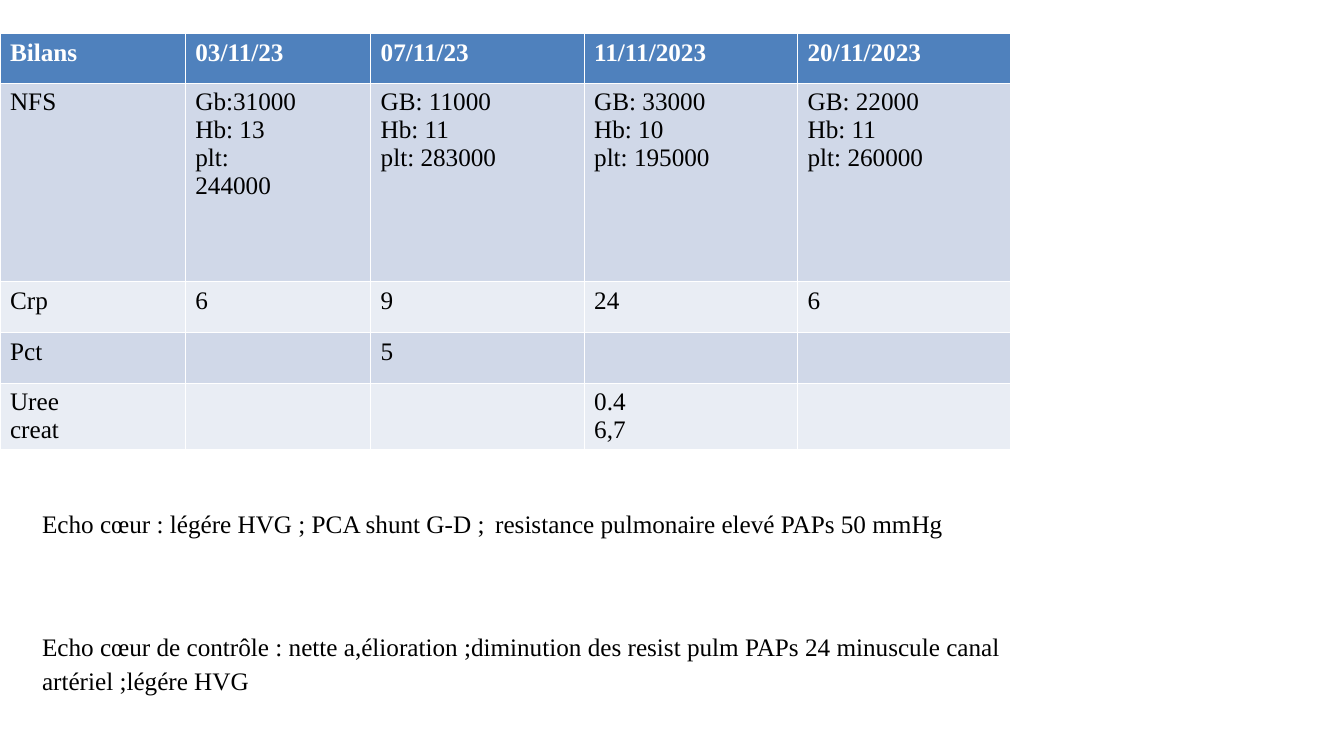
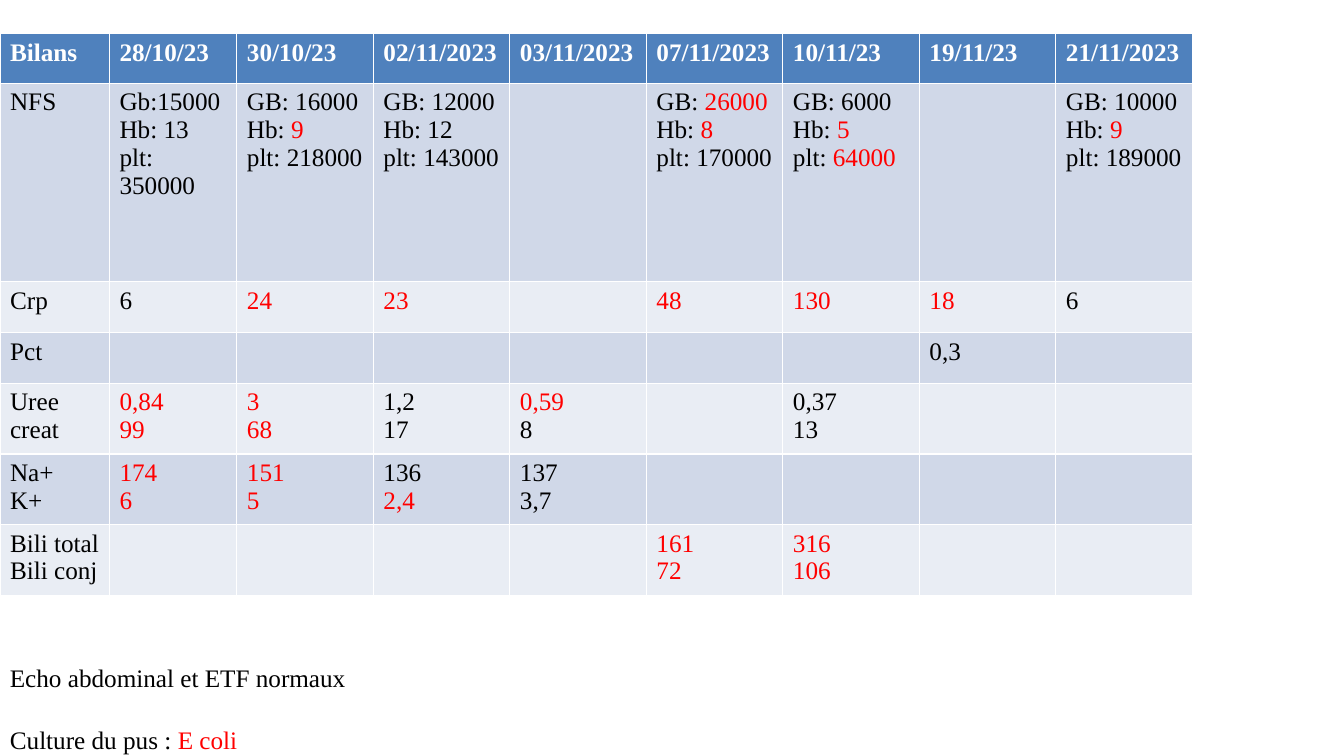
"""Build two slides of laboratory results with their imaging notes."""
from dataclasses import dataclass

from pptx import Presentation, util as u
from pptx.dml.color import RGBColor as Rgb
from pptx.oxml.xmlchemy import OxmlElement as Node


@dataclass(frozen=True)
class Theme:
    """Colours, type and row measures that the slides share."""
    font: str = "Times New Roman"
    size: int = 18
    ink: str = "000000"
    alert: str = "FF0000"
    head: str = "4F81BD"
    title: str = "FFFFFF"
    bands: tuple = ("D0D8E8", "E9EDF4")
    top: float = 0.85
    rows: tuple = (1.25, 5.0, 1.28, 1.28)
    pair: float = 1.67


LOOK = Theme()

FIRST = [
    ["Bilans", "03/11/23", "07/11/23", "11/11/2023", "20/11/2023"],
    ["NFS", "Gb:31000\nHb: 13\nplt:\n244000", "GB: 11000\nHb: 11\nplt: 283000",
     "GB: 33000\nHb: 10\nplt: 195000", "GB: 22000\nHb: 11\nplt: 260000"],
    ["Crp", "6", "9", "24", "6"],
    ["Pct", "", "5", "", ""],
    ["Uree\ncreat", "", "", "0.4\n6,7", ""],
]

SECOND = [
    ["Bilans", "28/10/23", "30/10/23", "02/11/2023", "03/11/2023",
     "07/11/2023", "10/11/23", "19/11/23", "21/11/2023"],
    ["NFS", "Gb:15000\nHb: 13\nplt:\n350000", "GB: 16000\nHb: *9*\nplt: 218000",
     "GB: 12000\nHb: 12\nplt: 143000", "", "GB: *26000*\nHb: *8*\nplt: 170000",
     "GB: 6000\nHb: *5*\nplt: *64000*", "", "GB: 10000\nHb: *9*\nplt: 189000"],
    ["Crp", "6", "*24*", "*23*", "", "*48*", "*130*", "*18*", "6"],
    ["Pct", "", "", "", "", "", "", "0,3", ""],
    ["Uree\ncreat", "*0,84*\n*99*", "*3*\n*68*", "1,2\n17", "*0,59*\n8", "",
     "0,37\n13", "", ""],
    ["Na+\nK+", "*174*\n*6*", "*151*\n*5*", "136\n*2,4*", "137\n3,7",
     "", "", "", ""],
    ["Bili total\nBili conj", "", "", "", "", "*161*\n*72*", "*316*\n*106*",
     "", ""],
]

HEART = ("Echo cœur : légére HVG ; PCA shunt G-D ;\tresistance pulmonaire "
         "elevé PAPs 50 mmHg\n"
         "Echo cœur de contrôle : nette a,élioration ;diminution des resist "
         "pulm PAPs 24 minuscule canal artériel ;légére HVG")
BELLY = "Echo abdominal et ETF normaux\nCulture du pus : *E coli*"


def write(frame, words, color=LOOK.ink, bold=False, gap=0, pitch=None, tab=None):
    """Write one paragraph per line, with starred words in the alert colour."""
    for num, line in enumerate(words.split("\n")):
        para = frame.add_paragraph() if num else frame.paragraphs[0]
        para.font.size = u.Pt(LOOK.size)
        if pitch:
            para.line_spacing = pitch
        if num and gap:
            para.space_before = u.Pt(gap)
        if tab and "\t" in line:
            stops, stop = Node("a:tabLst"), Node("a:tab")
            stop.set("pos", str(u.Cm(tab)))
            stop.set("algn", "l")
            stops.append(stop)
            props = para._p.get_or_add_pPr()
            props.insert_element_before(stops, "a:defRPr", "a:extLst")
        for part, piece in enumerate(line.split("*")):
            if piece:
                run = para.add_run()
                run.text = piece
                font = run.font
                font.name, font.size, font.bold = LOOK.font, u.Pt(LOOK.size), bold
                font.color.rgb = Rgb.from_string(LOOK.alert if part % 2 else color)


def grid(slide, data, widths):
    """Add a results table with a header and alternating row bands."""
    tall = [*LOOK.rows, *[LOOK.pair] * (len(data) - len(LOOK.rows))]
    table = slide.shapes.add_table(
        len(data), len(widths), 0, u.Cm(LOOK.top),
        u.Cm(sum(widths)), u.Cm(sum(tall))).table
    for col, width in zip(table.columns, widths):
        col.width = u.Cm(width)
    for num, (row, height, line) in enumerate(zip(table.rows, tall, data)):
        row.height = u.Cm(height)
        fill = LOOK.bands[(num - 1) % 2] if num else LOOK.head
        for cell, words in zip(row.cells, line):
            cell.fill.solid()
            cell.fill.fore_color.rgb = Rgb.from_string(fill)
            write(cell.text_frame, words, bold=not num,
                  color=LOOK.ink if num else LOOK.title)


def note(slide, words, left, top, height, **style):
    """Add a wrapped text box below the table."""
    box = slide.shapes.add_textbox(
        u.Cm(left), u.Cm(top), u.Cm(25.3), u.Cm(height))
    box.text_frame.word_wrap = True
    write(box.text_frame, words, pitch=1.1, **style)


def main():
    """Build and save the deck."""
    deck = Presentation()
    deck.slide_width, deck.slide_height = u.Cm(33.87), u.Cm(19.05)
    blank = deck.slide_layouts[6]

    slide = deck.slides.add_slide(blank)
    grid(slide, FIRST, [4.67] * 2 + [5.38] * 3)
    note(slide, HEART, 0.81, 12.62, 4.88, gap=64, tab=11.42)

    slide = deck.slides.add_slide(blank)
    grid(slide, SECOND, [2.76, 3.21] + [3.44] * 7)
    note(slide, BELLY, 0, 16.48, 2.57, gap=21)

    deck.save("out.pptx")


if __name__ == "__main__":
    main()
